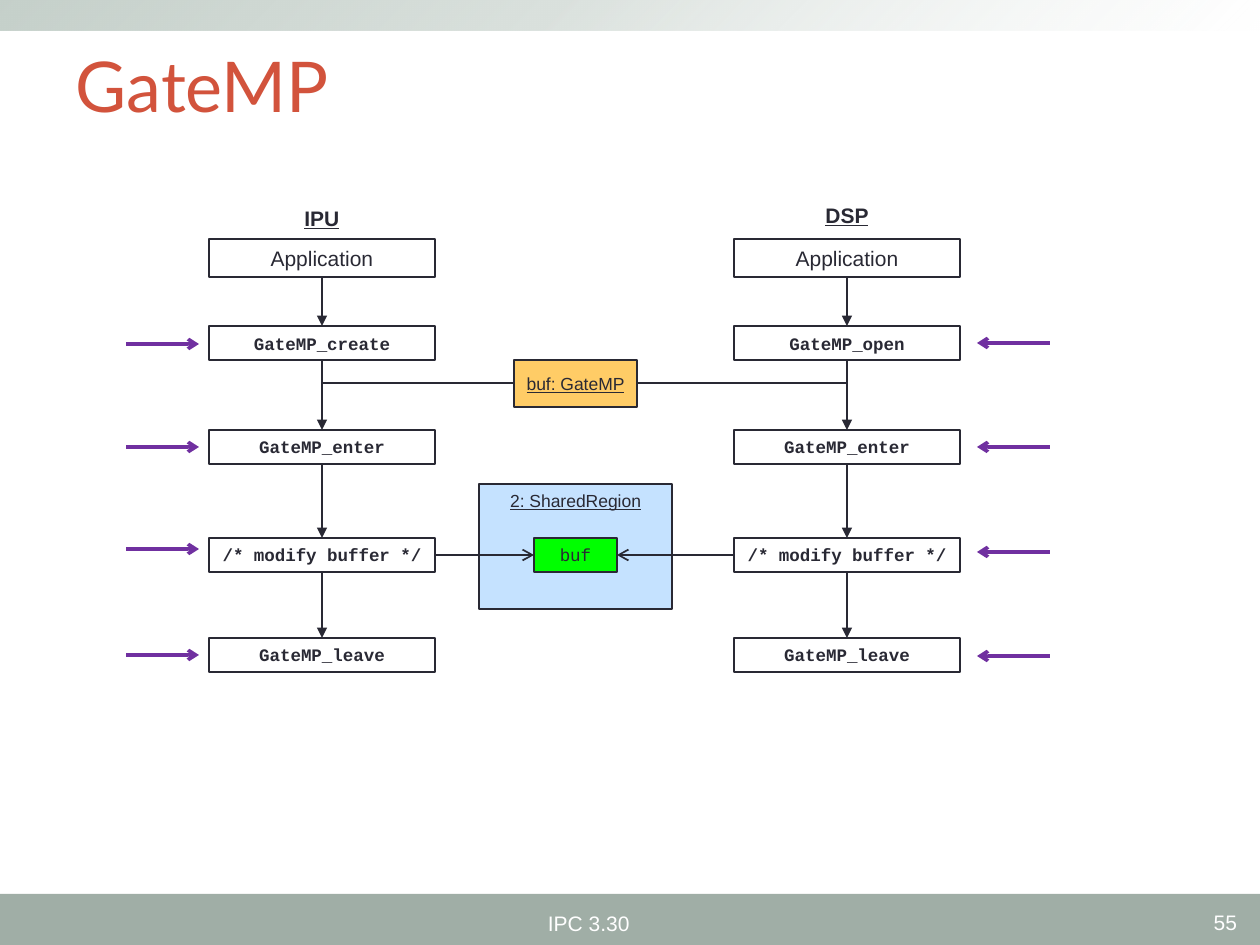
"""Build the GateMP slide: two processor lanes sharing one guarded buffer."""
from dataclasses import dataclass
from itertools import pairwise

from lxml import etree
from pptx import Presentation
from pptx import util as u
from pptx.dml.color import RGBColor
from pptx.enum import shapes, text
from pptx.oxml import parse_xml
from pptx.oxml.ns import nsdecls, qn

PIXEL = u.Inches(1) / 126


@dataclass(frozen=True)
class Theme:
    """Colours, fonts and type sizes of the slide."""
    ink: str = "292934"
    title: str = "D2533C"
    white: str = "FFFFFF"
    footer: str = "A0AEA6"
    header: tuple = ((0, "C5D0CA", 100), (43, "DAE1DD", 100), (100, "ECF0EE", 0))
    region: str = "C5E2FF"
    gate: str = "FFCC66"
    buffer: str = "00FF00"
    marker: str = "7030A0"
    sans: str = "Arial"
    code: str = "Courier New"
    display: str = "Lato"
    title_size: int = 40
    label_size: int = 12
    code_size: int = 10


THEME = Theme()
BOX_WIDTH = 226
CODE_HEIGHT = 34
GATE_LINE = 383
BUFFER_LINE = 555
LANES = (
    {"name": "IPU", "center": 322, "heading": 199, "first_call": "GateMP_create",
     "marker": (126, 199), "marker_rows": (344, 447, 549, 655), "buffer_edge": 534},
    {"name": "DSP", "center": 847, "heading": 196, "first_call": "GateMP_open",
     "marker": (1050, 977), "marker_rows": (343, 447, 552, 656), "buffer_edge": 617},
)


def px(*values):
    """Turn picture pixels into EMU."""
    return [u.Emu(round(value * PIXEL)) for value in values]


def color(value):
    """Return an RGB colour from its hex form."""
    return RGBColor.from_string(value)


def put_text(shape, words, size=THEME.label_size, font=THEME.sans, ink=THEME.ink,
             bold=False, underline=False, align="CENTER", anchor="MIDDLE", inset=0):
    """Write one formatted paragraph into a shape."""
    frame = shape.text_frame
    frame.word_wrap = True
    frame.auto_size = text.MSO_AUTO_SIZE.NONE
    frame.vertical_anchor = text.MSO_ANCHOR[anchor]
    frame.margin_left = frame.margin_right = px(inset)[0]
    paragraph = frame.paragraphs[0]
    paragraph.alignment = text.PP_ALIGN[align]
    run = paragraph.add_run()
    run.text = words
    run.font.name, run.font.size = font, u.Pt(size)
    run.font.bold, run.font.underline = bold, underline
    run.font.color.rgb = color(ink)


def add_box(slide, bounds, words="", fill=None, line=THEME.ink, **format):
    """Add a rectangle with optional fill, outline and text."""
    shape = slide.shapes.add_shape(shapes.MSO_SHAPE.RECTANGLE, *px(*bounds))
    shape.shadow.inherit = False
    if fill:
        shape.fill.solid()
        shape.fill.fore_color.rgb = color(fill)
    else:
        shape.fill.background()
    if line:
        shape.line.color.rgb = color(line)
        shape.line.width = u.Pt(1)
    else:
        shape.line.fill.background()
    if words:
        put_text(shape, words, **format)
    return shape


def add_label(slide, bounds, words, **format):
    """Add a text box."""
    put_text(slide.shapes.add_textbox(*px(*bounds)), words, **format)


def add_line(slide, start, end, ink=THEME.ink, width=1, arrow=None):
    """Add a straight line, with an arrowhead at its end if asked."""
    connector = slide.shapes.add_connector(
        shapes.MSO_CONNECTOR.STRAIGHT, *px(*start, *end))
    connector.line.color.rgb = color(ink)
    connector.line.width = u.Pt(width)
    if arrow:
        etree.SubElement(connector.line._get_or_add_ln(), qn("a:tailEnd"), type=arrow)
    etree.SubElement(connector._element.spPr, qn("a:effectLst"))


def set_gradient(shape, stops, angle):
    """Replace the fill by a gradient with transparent stops."""
    marks = "".join(
        f'<a:gs pos="{place * 1000}"><a:srgbClr val="{value}">'
        f'<a:alpha val="{opacity * 1000}"/></a:srgbClr></a:gs>'
        for place, value, opacity in stops)
    gradient = parse_xml(
        f'<a:gradFill {nsdecls("a")} rotWithShape="1"><a:gsLst>{marks}</a:gsLst>'
        f'<a:lin ang="{angle * 60000}" scaled="0"/></a:gradFill>')
    properties = shape._element.spPr
    properties.replace(properties.find(qn("a:noFill")), gradient)


def add_frame(slide):
    """Add the bars, the title and the footer text."""
    add_box(slide, (0, 894, 1260, 51), fill=THEME.footer, line=None)
    header = add_box(slide, (0, 0, 1260, 31), line=None)
    set_gradient(header, THEME.header, 45)
    title = slide.shapes.title
    title.left, title.top, title.width, title.height = px(63, 32, 1134, 104)
    put_text(title, "GateMP", size=THEME.title_size, font=THEME.display,
             ink=THEME.title, align="LEFT", inset=13)
    add_label(slide, (535, 900, 567, 46), "IPC 3.30",
              ink=THEME.white, align="LEFT", inset=13)
    add_label(slide, (1102, 900, 148, 45), "55",
              ink=THEME.white, align="RIGHT", inset=13)


def add_shared_objects(slide):
    """Add the shared region with its buffer, and the gate."""
    small = {"size": THEME.code_size}
    add_box(slide, (479, 484, 193, 125), "2: SharedRegion", fill=THEME.region,
            underline=True, anchor="TOP", **small)
    add_box(slide, (534, 538, 83, CODE_HEIGHT), "buf", fill=THEME.buffer,
            font=THEME.code, **small)
    add_box(slide, (514, 360, 123, 47), "buf: GateMP", fill=THEME.gate,
            underline=True, **small)


def add_lane(slide, lane):
    """Add one processor's call sequence with its links and markers."""
    center = lane["center"]
    left = center - BOX_WIDTH / 2
    code = {"size": THEME.code_size, "font": THEME.code, "bold": True}
    steps = (
        (239, 38, "Application", {}),
        (326, CODE_HEIGHT, lane["first_call"], code),
        (430, CODE_HEIGHT, "GateMP_enter", code),
        (538, CODE_HEIGHT, "/* modify buffer */", code),
        (638, CODE_HEIGHT, "GateMP_leave", code),
    )
    add_label(slide, (left, lane["heading"], BOX_WIDTH, 38), lane["name"],
              bold=True, underline=True)
    for top, height, words, format in steps:
        add_box(slide, (left, top, BOX_WIDTH, height), words, **format)
    for (top, height, *_), (below, *_) in pairwise(steps):
        add_line(slide, (center, top + height), (center, below),
                 width=1.25, arrow="triangle")

    side = 1 if center < lane["buffer_edge"] else -1
    gate_edge = 514 if side > 0 else 637
    add_line(slide, (center, GATE_LINE), (gate_edge, GATE_LINE))
    add_line(slide, (center + side * BOX_WIDTH / 2, BUFFER_LINE),
             (lane["buffer_edge"], BUFFER_LINE), arrow="arrow")
    outer, inner = lane["marker"]
    for row in lane["marker_rows"]:
        add_line(slide, (outer, row), (inner, row),
                 ink=THEME.marker, width=2, arrow="arrow")


def main():
    """Build and save the slide."""
    presentation = Presentation()
    presentation.slide_width, presentation.slide_height = px(1260, 945)
    slide = presentation.slides.add_slide(presentation.slide_layouts[5])
    add_frame(slide)
    add_shared_objects(slide)
    for lane in LANES:
        add_lane(slide, lane)
    presentation.save("out.pptx")


main()
